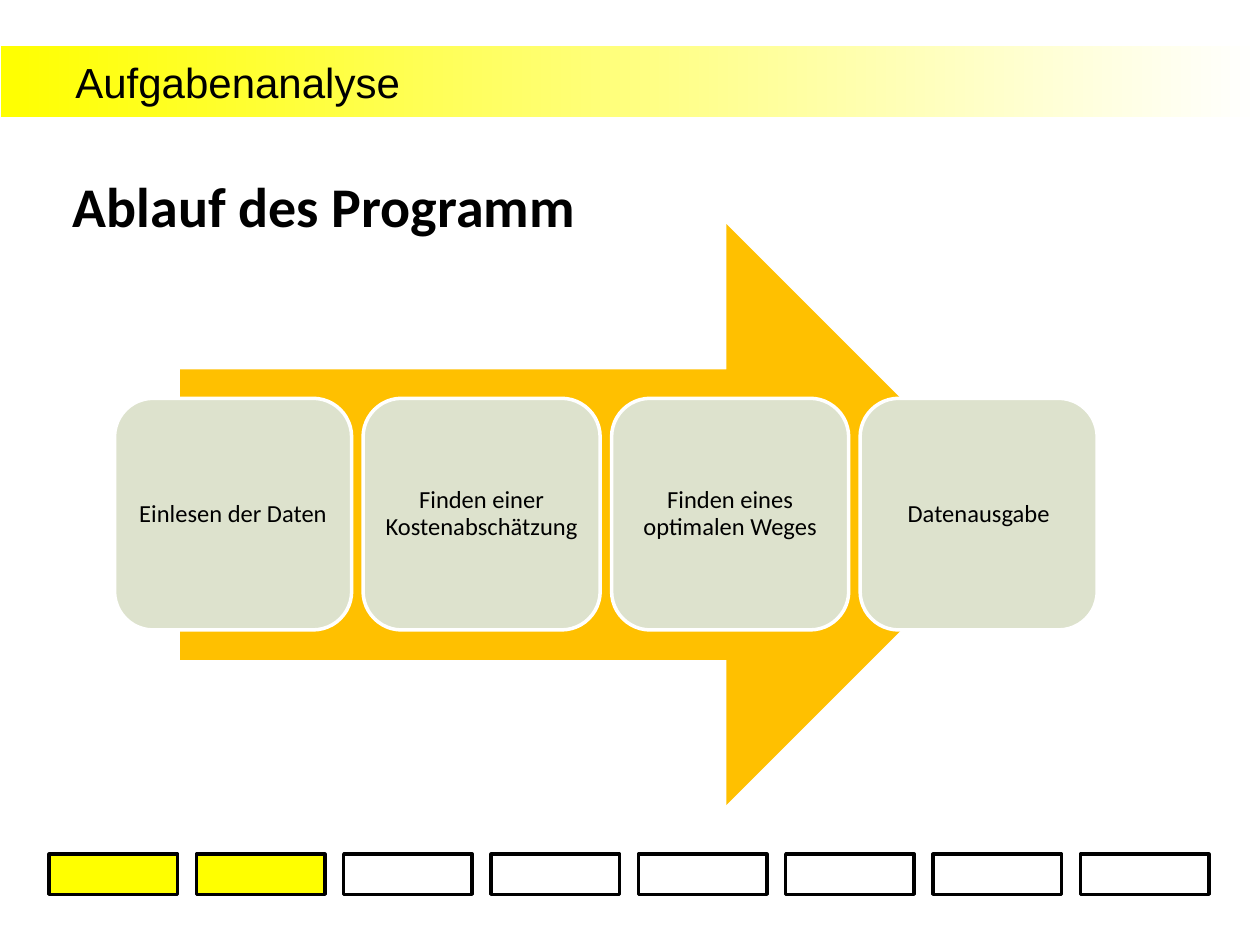
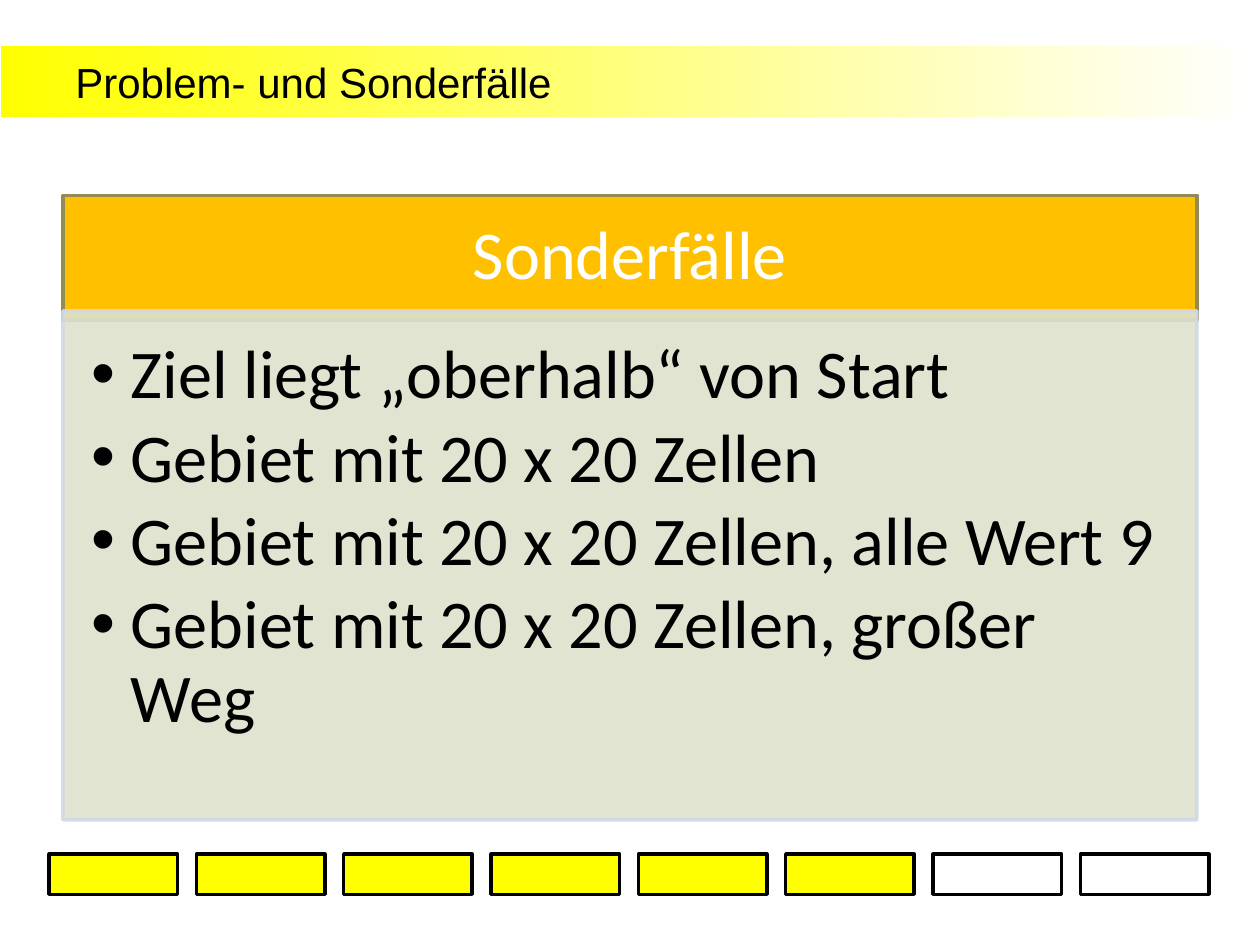
from lxml.etree import SubElement
from pptx import Presentation
from pptx.dml.color import RGBColor
from pptx.enum.shapes import MSO_SHAPE as Shape
from pptx.enum.text import MSO_ANCHOR as Anchor, PP_ALIGN as Align
from pptx.oxml.ns import qn
from pptx.util import Cm, Pt

YELLOW, AMBER, SAGE = "FFFF00", "FFC000", "DDE2CD"
BLACK, WHITE, OLIVE, PALE_BLUE = "000000", "FFFFFF", "948A54", "D0D8E8"
PHASES = 8
STEPS = [
    "Einlesen der Daten",
    "Finden einer Kostenabschätzung",
    "Finden eines optimalen Weges",
    "Datenausgabe",
]
SPECIAL_CASES = [
    "Ziel liegt „oberhalb“ von Start",
    "Gebiet mit 20 x 20 Zellen",
    "Gebiet mit 20 x 20 Zellen, alle Wert 9",
    "Gebiet mit 20 x 20 Zellen, großer Weg",
]


def paint(color, hex_code):
    """Set a colour format from a hex string."""
    color.rgb = RGBColor.from_string(hex_code)


def add_block(page, kind, place, fill, line=None, width=2):
    """Add a preset shape with a plain fill and an optional outline."""
    block = page.shapes.add_shape(kind, *map(Cm, place))
    block.shadow.inherit = False
    block.fill.solid()
    paint(block.fill.fore_color, fill)
    if line:
        paint(block.line.color, line)
        block.line.width = Pt(width)
    else:
        block.line.fill.background()
    return block


def set_opacity(block, percent):
    """Make the fill and outline of a block partly transparent."""
    for color in block._element.spPr.iter(qn("a:srgbClr")):
        SubElement(color, qn("a:alpha"), val=str(percent * 1000))


def write(box, lines, size, font="Calibri", color=BLACK, bold=False,
          align=Align.LEFT, anchor=Anchor.MIDDLE, insets=(0.25, 0.13, 0.25, 0.13),
          spacing=1.0, wrap=True):
    """Fill a box with equally styled paragraphs; insets run left, top, right, bottom."""
    frame = box.text_frame
    frame.word_wrap = wrap
    frame.vertical_anchor = anchor
    (frame.margin_left, frame.margin_top,
     frame.margin_right, frame.margin_bottom) = map(Cm, insets)
    frame.text = "\n".join(lines)
    for para in frame.paragraphs:
        para.alignment = align
        para.line_spacing = spacing
        para.font.name = font
        para.font.size = Pt(size)
        para.font.bold = bold
        paint(para.font.color, color)


def add_bullets(box, indent, gap):
    """Give every paragraph of a box a round bullet and a hanging indent."""
    for para in box.text_frame.paragraphs:
        para.space_after = Pt(gap)
        properties = para._p.get_or_add_pPr()
        properties.set("marL", str(Cm(indent)))
        properties.set("indent", str(-Cm(indent)))
        SubElement(properties, qn("a:buFont"), typeface="Arial")
        SubElement(properties, qn("a:buChar"), char="•")


def add_title_band(page, title):
    """Add the fading yellow band with the slide title."""
    band = add_block(page, Shape.RECTANGLE, (0, 0.91, 25.4, 1.47), WHITE, WHITE, 0.75)
    band.fill.gradient()
    band.fill.gradient_angle = 0
    for stop, color in zip(band.fill.gradient_stops, (YELLOW, WHITE)):
        paint(stop.color, color)
    box = page.shapes.add_textbox(Cm(1.27), Cm(1.12), Cm(17.2), Cm(1.07))
    write(box, [title], 24, font="Arial")


def add_progress(page, done):
    """Add the row of phase boxes, with the finished ones in yellow."""
    for phase in range(PHASES):
        add_block(page, Shape.RECTANGLE, (0.99 + phase * 2.97, 17.22, 2.59, 0.81),
                  YELLOW if phase < done else WHITE, BLACK)


def add_page(deck, title, done):
    """Add a blank slide with title band and progress row."""
    page = deck.slides.add_slide(deck.slide_layouts[6])
    add_title_band(page, title)
    add_progress(page, done)
    return page


def add_process(page, steps):
    """Add the big arrow with one rounded box for each step."""
    add_block(page, Shape.RIGHT_ARROW, (3.63, 4.52, 16.87, 11.71), AMBER)
    for index, step in enumerate(steps):
        box = add_block(page, Shape.ROUNDED_RECTANGLE,
                        (2.31 + index * 5.01, 8.03, 4.78, 4.67), SAGE, WHITE)
        write(box, [step], 14, align=Align.CENTER, insets=[0.15] * 4, spacing=0.9)


def add_list_panel(page, heading, items):
    """Add a coloured heading bar over a bulleted panel."""
    bar = add_block(page, Shape.RECTANGLE, (1.27, 3.94, 22.86, 2.51), AMBER, OLIVE)
    write(bar, [heading], 39, color=WHITE, align=Align.CENTER,
          insets=(0.76, 0.43, 0.76, 0.43), spacing=0.9)
    panel = add_block(page, Shape.RECTANGLE, (1.27, 6.27, 22.86, 10.26), SAGE, PALE_BLUE)
    set_opacity(panel, 90)
    write(panel, items, 39, anchor=Anchor.TOP,
          insets=(0.58, 0.58, 0.76, 0.86), spacing=0.9)
    add_bullets(panel, 0.79, 5.5)


def main():
    """Build and save both slides."""
    deck = Presentation()
    deck.slide_width, deck.slide_height = Cm(25.4), Cm(19.05)

    page = add_page(deck, "Aufgabenanalyse", done=2)
    add_process(page, STEPS)
    heading = page.shapes.add_textbox(Cm(1.22), Cm(3.33), Cm(10.72), Cm(2.39))
    write(heading, ["Ablauf des Programm"], 32, bold=True, anchor=Anchor.TOP, wrap=False)

    page = add_page(deck, "Problem- und Sonderfälle", done=6)
    add_list_panel(page, "Sonderfälle", SPECIAL_CASES)

    deck.save("out.pptx")


if __name__ == "__main__":
    main()
